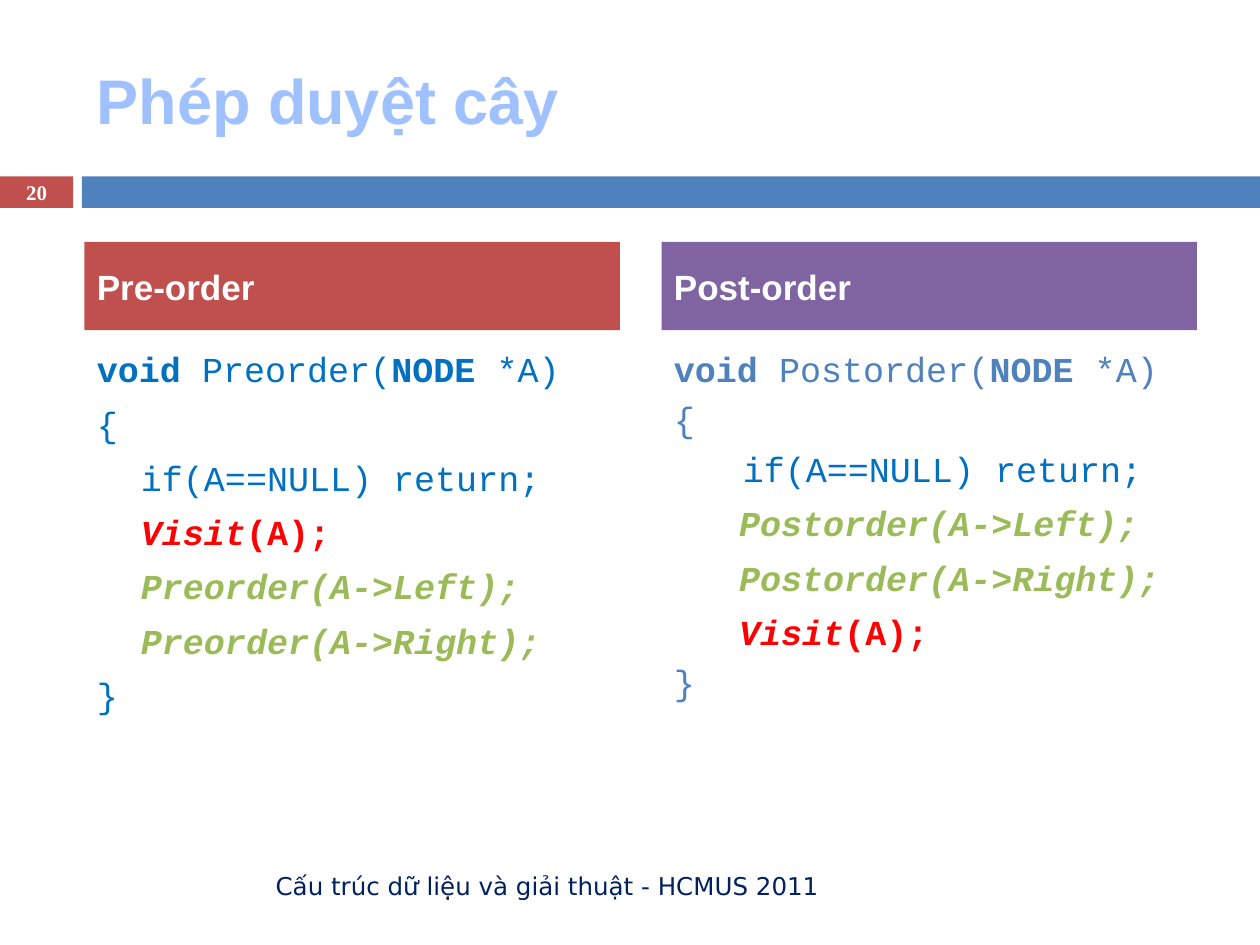
from pptx import Presentation
from pptx import util as u
from pptx.dml.color import RGBColor
from pptx.enum import shapes, text

BLUE, SOFT_BLUE, GREEN = "0070C0", "4F81BD", "9BBB59"
RED, BRICK, PURPLE, WHITE = "FF0000", "C0504D", "8064A2", "FFFFFF"
MIDDLE = text.MSO_ANCHOR.MIDDLE
CODE_FONT = {"name": "Courier New", "size": u.Pt(20)}

# Run styles: colour, bold, italic
STYLES = {
    "keyword": (BLUE, True, False),
    "plain": (BLUE, False, False),
    "soft keyword": (SOFT_BLUE, True, False),
    "soft": (SOFT_BLUE, False, False),
    "call": (GREEN, True, True),
    "visit": (RED, True, True),
    "argument": (RED, True, False),
}

# Code lines: hanging indent in inches, space before in points, runs
WIDE, TIGHT = (0.35, 7), (0.38, 4.5)
COLUMNS = [
    {"heading": "Pre-order", "fill": BRICK, "left": 0.67, "code": [
        (WIDE, [("void", "keyword"), (" Preorder(", "plain"),
                ("NODE", "keyword"), (" *A)", "plain")]),
        (WIDE, [("{", "plain")]),
        (WIDE, [("\tif(A==NULL) return;", "plain")]),
        (WIDE, [("\t", "plain"), ("Visit", "visit"), ("(A);", "argument")]),
        (WIDE, [("\t", "plain"), ("Preorder(A->Left);", "call")]),
        (WIDE, [("\t", "plain"), ("Preorder(A->Right);", "call")]),
        (WIDE, [("}", "plain")]),
    ]},
    {"heading": "Post-order", "fill": PURPLE, "left": 5.25, "code": [
        (TIGHT, [("void ", "soft keyword"), ("Postorder(", "soft"),
                 ("NODE", "soft keyword"), (" *A)", "soft")]),
        (TIGHT, [("{", "soft")]),
        (TIGHT, [("\t ", "soft"), ("if(A==NULL) return;", "plain")]),
        (WIDE, [("\t ", "plain"), ("Postorder(A->Left);", "call")]),
        (WIDE, [("\t ", "plain"), ("Postorder(A->Right);", "call")]),
        (WIDE, [("\t ", "plain"), ("Visit", "visit"), ("(A);", "argument")]),
        (TIGHT, [("}", "soft")]),
    ]},
]

# Single lines: text, box, alignment, colour, font
LABELS = [
    ("Phép duyệt cây", (0.67, 0.25, 8.92, 1.08), text.PP_ALIGN.LEFT, "A0C1FF",
     {"name": "Arial", "size": u.Pt(36), "bold": True}),
    ("20", (0, 1.39, 0.58, 0.27), text.PP_ALIGN.CENTER, WHITE,
     {"name": "Times New Roman", "size": u.Pt(11.9), "bold": True}),
    ("Cấu trúc dữ liệu và giải thuật - HCMUS 2011", (0.67, 6.83, 5.93, 0.4),
     text.PP_ALIGN.RIGHT, "002060", {"name": "DejaVu Sans", "size": u.Pt(14)}),
]
HEADING_FONT = {"name": "Arial", "size": u.Pt(20), "bold": True}
BARS = [((0, 1.4, 0.58, 0.25), BRICK), ((0.65, 1.4, 9.35, 0.25), SOFT_BLUE)]


def rgb(value):
    return RGBColor.from_string(value)


def add_run(paragraph, words, color, font):
    run = paragraph.add_run()
    run.text = words
    for key, value in font.items():
        setattr(run.font, key, value)
    run.font.color.rgb = rgb(color)


def add_bar(slide, box, fill):
    bar = slide.shapes.add_shape(shapes.MSO_SHAPE.RECTANGLE, *map(u.Inches, box))
    bar.shadow.inherit = False
    bar.fill.solid()
    bar.fill.fore_color.rgb = rgb(fill)
    bar.line.fill.background()
    return bar


def add_text_box(slide, box):
    frame = slide.shapes.add_textbox(*map(u.Inches, box)).text_frame
    frame.word_wrap = True
    return frame


def write_line(frame, words, align, color, font):
    """Fill a frame with one vertically centred line."""
    frame.vertical_anchor = MIDDLE
    paragraph = frame.paragraphs[0]
    paragraph.alignment = align
    add_run(paragraph, words, color, font)


def write_code(frame, lines):
    frame.margin_top = u.Inches(0.09)
    for number, ((indent, space), runs) in enumerate(lines):
        paragraph = frame.add_paragraph() if number else frame.paragraphs[0]
        paragraph.line_spacing = u.Pt(24)
        if number:
            paragraph.space_before = u.Pt(space)
        hanging = u.Inches(indent)
        properties = paragraph._p.get_or_add_pPr()
        properties.set("marL", str(hanging))
        properties.set("indent", str(-hanging))
        for words, style in runs:
            color, bold, italic = STYLES[style]
            add_run(paragraph, words, color,
                    {**CODE_FONT, "bold": bold, "italic": italic})


def main():
    deck = Presentation()
    deck.slide_width, deck.slide_height = u.Inches(10), u.Inches(7.5)
    slide = deck.slides.add_slide(deck.slide_layouts[6])
    for box, fill in BARS:
        add_bar(slide, box, fill)
    for words, box, align, color, font in LABELS:
        write_line(add_text_box(slide, box), words, align, color, font)
    for column in COLUMNS:
        left = column["left"]
        heading = add_bar(slide, (left, 1.92, 4.25, 0.7), column["fill"])
        write_line(heading.text_frame, column["heading"],
                   text.PP_ALIGN.LEFT, WHITE, HEADING_FONT)
        write_code(add_text_box(slide, (left, 2.67, 4.42, 3.92)), column["code"])
    deck.save("out.pptx")


if __name__ == "__main__":
    main()
